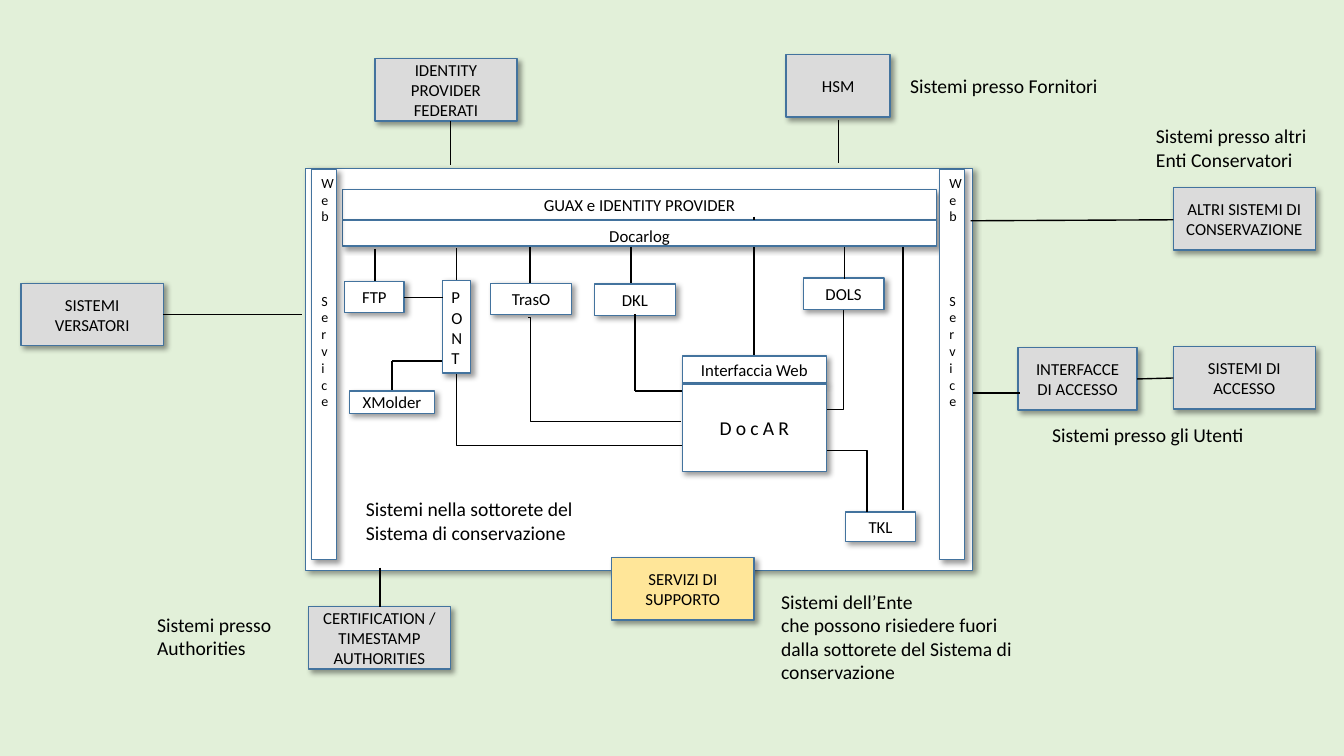
import pptx
import pptx.util
import pptx.dml.color
import pptx.enum.shapes
import pptx.enum.text
import pptx.oxml
import pptx.oxml.ns

Pt = pptx.util.Pt
RGB = pptx.dml.color.RGBColor
Align = pptx.enum.text.PP_ALIGN
Anchor = pptx.enum.text.MSO_ANCHOR
Link = pptx.enum.shapes.MSO_CONNECTOR

GREEN = RGB(0xE2, 0xF0, 0xD9)
WHITE = RGB(0xFF, 0xFF, 0xFF)
GREY = RGB(0xDB, 0xDB, 0xDB)
YELLOW = RGB(0xFF, 0xE6, 0x99)
BLUE = RGB(0x43, 0x73, 0x9E)
BLACK = RGB(0, 0, 0)

SHADOW = (
    '<a:effectLst %s><a:outerShdw blurRad="50800" dist="38100" dir="2700000" '
    'algn="tl" rotWithShape="0"><a:srgbClr val="000000"><a:alpha val="40000"/>'
    '</a:srgbClr></a:outerShdw></a:effectLst>' % pptx.oxml.ns.nsdecls("a"))
FLAT = "<a:effectLst %s/>" % pptx.oxml.ns.nsdecls("a")


class Board:
    """Holds the style and the current slide."""
    font = "Calibri"

    def __init__(self, slide):
        self.slide = slide
        fill = slide.background.fill
        fill.solid()
        fill.fore_color.rgb = GREEN

    def style(self, frame, size, align, space=0):
        for par in frame.paragraphs:
            par.alignment = align
            for run in par.runs:
                run.font.name = self.font
                run.font.size = Pt(size)
                run.font.color.rgb = BLACK
                if space:
                    run.font._element.set("spc", str(round(space * 100)))

    def box(self, text, x, y, w, h, fill=WHITE, top=False, size=12, space=0):
        shape = self.slide.shapes.add_shape(
            pptx.enum.shapes.MSO_SHAPE.RECTANGLE, Pt(x), Pt(y), Pt(w), Pt(h))
        shape.fill.solid()
        shape.fill.fore_color.rgb = fill
        shape.line.color.rgb = BLUE
        shape.line.width = Pt(1)
        shape._element.spPr.append(pptx.oxml.parse_xml(SHADOW))
        frame = shape.text_frame
        frame.word_wrap = True
        frame.vertical_anchor = Anchor.TOP if top else Anchor.MIDDLE
        frame.text = text
        self.style(frame, size, Align.CENTER, space)
        return shape

    def bar(self, words, x, y, w, h, gap):
        """Box with stacked letters; a tall space parts the words."""
        frame = self.box("", x, y, w, h).text_frame
        frame._txBody.bodyPr.set("vert", "wordArtVert")
        par = frame.paragraphs[0]
        for part in (words[0], " ", words[1]):
            par.add_run().text = part
        self.style(frame, 10, Align.LEFT, -3)
        par.runs[1].font.size = Pt(gap)

    def label(self, text, x, y, w, h, size=14, align=Align.LEFT):
        frame = self.slide.shapes.add_textbox(Pt(x), Pt(y), Pt(w), Pt(h)).text_frame
        frame.word_wrap = True
        frame.auto_size = pptx.enum.text.MSO_AUTO_SIZE.SHAPE_TO_FIT_TEXT
        frame.text = text
        self.style(frame, size, align)

    def link(self, x1, y1, x2, y2, kind=Link.STRAIGHT):
        line = self.slide.shapes.add_connector(kind, Pt(x1), Pt(y1), Pt(x2), Pt(y2))
        line.line.color.rgb = BLACK
        line.line.width = Pt(1)
        line._element.spPr.append(pptx.oxml.parse_xml(FLAT))
        return line

    def elbow(self, x1, y1, x2, y2, turn=0, bend=None):
        """One corner, or two corners with the bend at a share of the width."""
        props = self.link(x1, y1, x2, y2, Link.ELBOW)._element.spPr
        props.find(pptx.oxml.ns.qn("a:xfrm")).set("rot", str(turn * 60000))
        geom = props.find(pptx.oxml.ns.qn("a:prstGeom"))
        if bend is None:
            geom.set("prst", "bentConnector2")
            return
        for old in list(geom):
            geom.remove(old)
        geom.append(pptx.oxml.parse_xml(
            '<a:avLst %s><a:gd name="adj1" fmla="val %d"/></a:avLst>'
            % (pptx.oxml.ns.nsdecls("a"), round(bend * 100000))))


def main():
    deck = pptx.Presentation()
    deck.slide_width, deck.slide_height = Pt(960), Pt(540)
    board = Board(deck.slides.add_slide(deck.slide_layouts[6]))

    # Subnet frame and the boxes behind the lines
    board.box("", 218.2, 120.2, 476.6, 287.3)
    board.box("", 316.1, 200.2, 20.2, 66.2)
    board.box("GUAX e IDENTITY PROVIDER", 244.8, 135.4, 424.1, 21.6, top=True)
    board.box("TKL", 604.1, 365.8, 49.7, 20.9, top=True)
    board.box("FTP", 246.2, 200.9, 42.5, 22.3)
    for text, x, y in (("TrasO", 350.6, 202.3), ("DKL", 424.8, 203),
                       ("DOLS", 573.8, 198.7)):
        board.box(text, x, y, 57.6, 22.3)

    # Outer systems
    for text, x, y, w, fill in (
            ("ALTRI SISTEMI DI CONSERVAZIONE", 838.1, 133.9, 101.5, GREY),
            ("SISTEMI VERSATORI", 15.1, 202.3, 101.5, GREY),
            ("SISTEMI DI ACCESSO", 838.1, 247.7, 101.5, GREY),
            ("INTERFACCE DI ACCESSO", 727.2, 248.4, 85, GREY),
            ("IDENTITY PROVIDER\nFEDERATI", 267.8, 41.8, 101.5, GREY),
            ("CERTIFICATION / TIMESTAMP AUTHORITIES", 220.3, 433.4, 101.5, GREY),
            ("HSM", 561.6, 38.9, 74.2, GREY),
            ("SERVIZI DI SUPPORTO", 437, 398.2, 101.5, YELLOW)):
        board.box(text, x, y, w, 44.6, fill)

    # Upright lines: x, top, bottom
    for x, top, end in (
            (378.7, 176.4, 202.3), (321.8, 86.4, 118.1), (271.4, 405.4, 433.4),
            (326.2, 177.1, 200.2), (538.6, 154.8, 265), (267.8, 177.8, 200.9),
            (603.4, 175.7, 199.4), (599, 85.7, 116.6), (645.1, 175.7, 364.3),
            (450.7, 175.7, 202.3), (453.6, 224.6, 279.4), (280.1, 257.8, 278.6)):
        board.link(x, top, x, end)

    # Lines across: x and y of both ends
    for ends in ((693.4, 157.7, 838.1, 157), (116.6, 224.6, 216, 224.6),
                 (812.2, 270.7, 838.1, 270), (694.8, 280.8, 728.6, 280.8),
                 (288.7, 212.4, 316.1, 212.4), (453.6, 279.4, 487.4, 279.4),
                 (315.4, 257.8, 280.1, 257.8)):
        board.link(*ends)

    # Bent lines into the core box
    board.elbow(571.7, 321.8, 619.2, 365.8)
    board.elbow(434.2, 210.2, 383, 375.1, turn=270)
    board.elbow(377.3, 226.8, 486.7, 301, bend=0.015)
    board.elbow(547.2, 237.6, 618.5, 276.5, turn=90, bend=0.998)

    # Boxes in front of the lines
    board.box("Docarlog", 244.8, 157.7, 424.1, 18, top=True)
    board.box("Interfaccia Web", 487.4, 254.2, 103, 19.4)
    board.box("DocAR", 487.4, 274.3, 103, 62.6, size=14, space=3)
    board.box("XMolder", 249.8, 279.4, 60.5, 15.8)
    for x in (222.5, 671):
        board.bar(("Web", "Service"), x, 121, 18, 278.6, gap=40)

    # Captions
    board.label("PONT", 315.4, 201.6, 23, 65.5, size=12)
    board.label("Sistemi presso Fornitori", 643, 49, 162, 24.5, align=Align.JUSTIFY)
    for text, x, y, w, h in (
            ("Sistemi nella sottorete del Sistema di conservazione",
             254.2, 351.4, 171.4, 41),
            ("Sistemi presso gli Utenti", 744.5, 298.8, 182.9, 24.5),
            ("Sistemi dell’Ente\nche possono risiedere fuori dalla sottorete "
             "del Sistema di conservazione", 550.8, 417.6, 188.6, 74.9),
            ("Sistemi presso Authorities", 105.1, 434.2, 101.5, 41),
            ("Sistemi presso altri Enti Conservatori", 818.6, 85, 140.4, 41)):
        board.label(text, x, y, w, h)

    deck.save("out.pptx")


if __name__ == "__main__":
    main()
